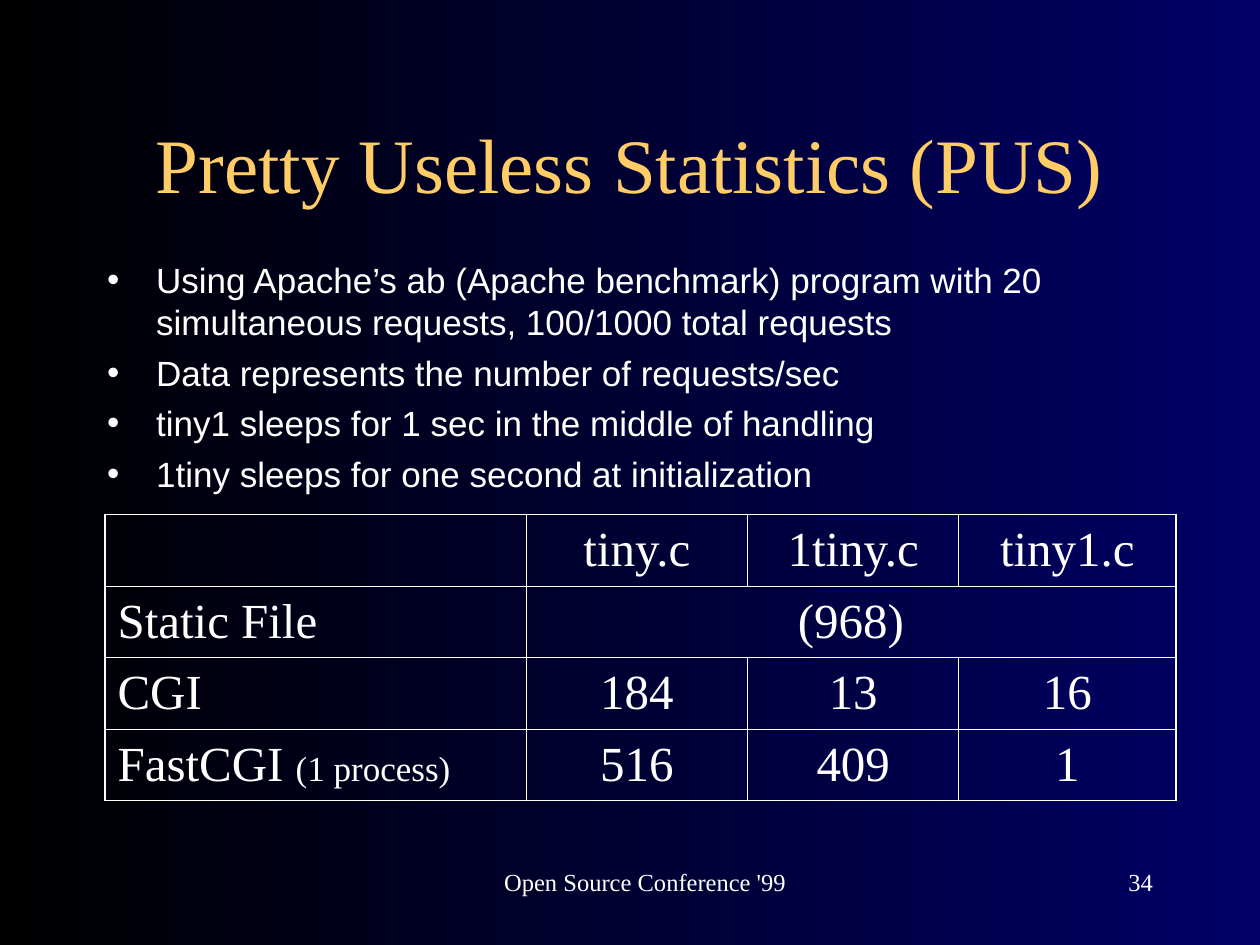
from lxml import etree
from pptx import Presentation
from pptx.dml.color import RGBColor
from pptx.enum.text import MSO_ANCHOR, MSO_AUTO_SIZE, PP_ALIGN
from pptx.oxml.ns import qn
from pptx.util import Pt

LEFT, CENTER, RIGHT = PP_ALIGN.LEFT, PP_ALIGN.CENTER, PP_ALIGN.RIGHT
TOP, MIDDLE = MSO_ANCHOR.TOP, MSO_ANCHOR.MIDDLE
NO_FIT = MSO_AUTO_SIZE.NONE

# Content
TITLE = "Pretty Useless Statistics (PUS)"
BULLETS = [
    "Using Apache’s ab (Apache benchmark) program with 20 "
    "simultaneous requests, 100/1000 total requests",
    "Data represents the number of requests/sec",
    "tiny1 sleeps for 1 sec in the middle of handling",
    "1tiny sleeps for one second at initialization",
]
# Each cell is a list of (text, size) runs; None is covered by the cell to its left
ROWS = [
    [[], [("tiny.c", 28)], [("1tiny.c", 28)], [("tiny1.c", 28)]],
    [[("Static File", 28)], [("(968)", 28)], None, None],
    [[("CGI", 28)], [("184", 28)], [("13", 28)], [("16", 28)]],
    [[("FastCGI ", 28), ("(1 process)", 20)],
     [("516", 28)], [("409", 28)], [("1", 28)]],
]
FOOTERS = [  # text, left, width, alignment
    ("Open Source Conference '99", 246, 228, CENTER),
    ("34", 516, 150, RIGHT),
]

# Style
COLORS = {"title": "FFCC66", "text": "FFFFFF", "right": "000066", "left": "000000"}
SERIF, SANS = "Times New Roman", "Arial"
COL_WIDTHS = [240.6, 126.7, 120.6, 124.1]
ROW_HEIGHT = 40.9
OUTER, INNER = 1.08, 0.45
HANG = 28


def rgb(name):
    return RGBColor.from_string(COLORS[name])


def style(font, name, size, color="text"):
    font.name, font.size = name, Pt(size)
    font.color.rgb = rgb(color)


def place(sp, x, y, w, h):
    sp.left, sp.top, sp.width, sp.height = Pt(x), Pt(y), Pt(w), Pt(h)


def set_frame(tf, anchor):
    tf.word_wrap = True
    tf.auto_size = NO_FIT
    tf.vertical_anchor = anchor


def add_bullet(p):
    pPr = p._p.get_or_add_pPr()
    pPr.set("marL", str(Pt(HANG)))
    pPr.set("indent", str(-Pt(HANG)))
    clr = etree.SubElement(pPr, qn("a:buClr"))
    etree.SubElement(clr, qn("a:srgbClr"), val=COLORS["text"])
    etree.SubElement(pPr, qn("a:buFont"), typeface=SANS)
    etree.SubElement(pPr, qn("a:buChar"), char="•")


def set_borders(cell, widths):
    tcPr = cell._tc.get_or_add_tcPr()
    for i, (side, width) in enumerate(widths.items()):
        ln = etree.Element(qn("a:ln" + side), w=str(Pt(width)))
        fill = etree.SubElement(ln, qn("a:solidFill"))
        etree.SubElement(fill, qn("a:srgbClr"), val=COLORS["text"])
        tcPr.insert(i, ln)


prs = Presentation()
prs.slide_width, prs.slide_height = Pt(720), Pt(540)
s = prs.slides.add_slide(prs.slide_layouts[1])

# Background
fill = s.background.fill
fill.gradient()
fill.gradient_angle = 180
for stop, name in zip(fill.gradient_stops, ("right", "left")):
    stop.color.rgb = rgb(name)

# Title
title = s.shapes.title
place(title, 54, 48, 612, 90)
tf = title.text_frame
tf.text = TITLE
set_frame(tf, MIDDLE)
tf.paragraphs[0].alignment = CENTER
style(tf.paragraphs[0].runs[0].font, SERIF, 44, "title")

# Bullet list
body = s.placeholders[1]
place(body, 54, 144, 618, 142.6)
tf = body.text_frame
tf.text = "\n".join(BULLETS)
set_frame(tf, TOP)
for i, p in enumerate(tf.paragraphs):
    add_bullet(p)
    p.line_spacing = Pt(24)
    p.space_before = Pt(5 if i else 0)
    style(p.runs[0].font, SANS, 20)

# Table of requests per second
n_rows, n_cols = len(ROWS), len(COL_WIDTHS)
table = s.shapes.add_table(n_rows, n_cols, Pt(60), Pt(294), Pt(sum(COL_WIDTHS)),
                           Pt(ROW_HEIGHT * n_rows)).table
table.first_row = table.horz_banding = False
for col, width in zip(table.columns, COL_WIDTHS):
    col.width = Pt(width)
for row in table.rows:
    row.height = Pt(ROW_HEIGHT)
table.cell(1, 1).merge(table.cell(1, n_cols - 1))

for i, row in enumerate(ROWS):
    for j, runs in enumerate(row):
        cell = table.cell(i, j)
        cell.fill.background()
        cell.vertical_anchor = MIDDLE
        last_col = j + (cell.span_width if cell.is_merge_origin else 1) == n_cols
        set_borders(cell, {
            "L": INNER if j else OUTER,
            "R": OUTER if last_col else INNER,
            "T": INNER if i else OUTER,
            "B": OUTER if i == n_rows - 1 else INNER,
        })
        p = cell.text_frame.paragraphs[0]
        p.alignment = CENTER if j else LEFT
        for text, size in runs or []:
            r = p.add_run()
            r.text = text
            style(r.font, SERIF, size)

# Footer and slide number
for text, x, width, align in FOOTERS:
    tf = s.shapes.add_textbox(Pt(x), Pt(492), Pt(width), Pt(36)).text_frame
    tf.text = text
    set_frame(tf, TOP)
    tf.margin_left = Pt(24.5)
    p = tf.paragraphs[0]
    p.alignment = align
    style(p.runs[0].font, SERIF, 14)

prs.save("out.pptx")
